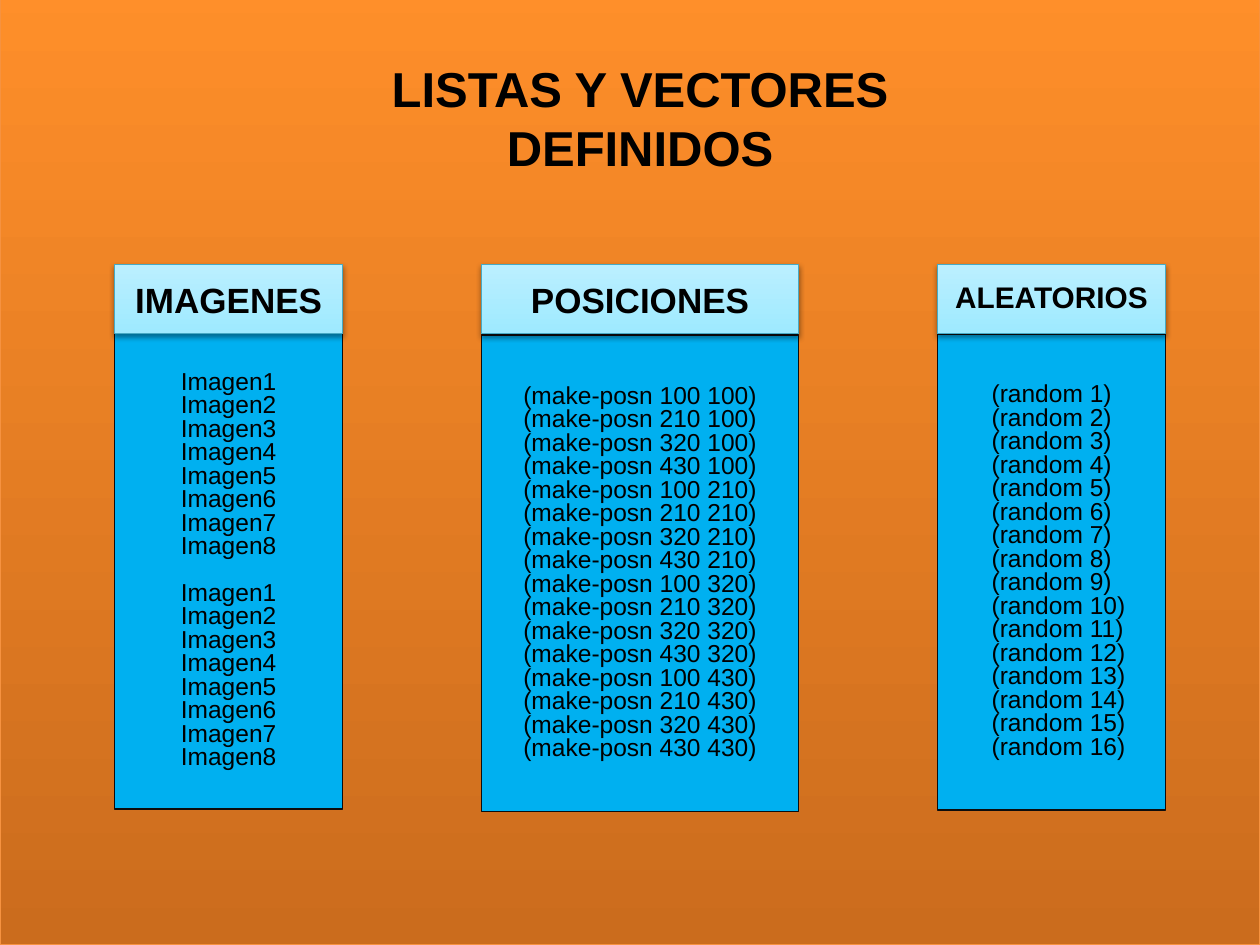
from lxml.etree import SubElement as Sub
from pptx import Presentation
from pptx.dml.color import RGBColor
from pptx.enum.shapes import MSO_SHAPE as Shape
from pptx.enum.text import MSO_ANCHOR as Anchor, PP_ALIGN as Align
from pptx.oxml.ns import qn
from pptx.util import Inches, Pt


def color(code):
    return RGBColor.from_string(code)


def add_box(slide, place, edge):
    box = slide.shapes.add_shape(Shape.RECTANGLE, *map(Inches, place))
    box.shadow.inherit = False
    box.line.color.rgb = color(edge)
    box.line.width = Pt(0.74)
    return box


def shade(box, low, high):
    box.fill.gradient()
    box.fill.gradient_angle = 90
    for stop, code in zip(box.fill.gradient_stops, (low, high)):
        stop.color.rgb = color(code)


def cast(box, drop, alpha):
    effect = box._element.spPr.find(qn("a:effectLst"))
    shadow = Sub(effect, qn("a:outerShdw"), blurRad=str(Pt(3)),
                 dist=str(Pt(drop)), dir="5400000", rotWithShape="0")
    tint = Sub(shadow, qn("a:srgbClr"), val="000000")
    Sub(tint, qn("a:alpha"), val=str(alpha * 1000))


def write(shape, text, size, bold=False, space=1.0, align=Align.CENTER):
    frame = shape.text_frame
    frame.word_wrap = True
    frame.vertical_anchor = Anchor.MIDDLE
    frame.text = text
    for para in frame.paragraphs:
        para.alignment = align
        para.line_spacing = space
        for run in para.runs:
            run.font.name = "Arial"
            run.font.size = Pt(size)
            run.font.bold = bold
            run.font.color.rgb = color("000000")


def add_list(slide, left, top, width, rows, align=Align.CENTER):
    box = add_box(slide, (left, top, width, 3.78), "0D0D0D")
    box.fill.solid()
    box.fill.fore_color.rgb = color("00B0F0")
    write(box, "\n".join(rows), 14, space=0.8, align=align)
    return box.text_frame


def add_head(slide, left, width, text, size=20, space=1.0):
    box = add_box(slide, (left, 2.1, width, 0.55), "46AAC5")
    shade(box, "9EEAFF", "BBEFFF")
    cast(box, 1.6, 38)
    write(box, text, size, True, space)


def main():
    deck = Presentation()
    deck.slide_width, deck.slide_height = Inches(10), Inches(7.5)
    slide = deck.slides.add_slide(deck.slide_layouts[6])

    back = add_box(slide, (0, -0.19, 10, 7.69), "F69240")
    shade(back, "CB6C1D", "FF8F2A")
    cast(back, 1.8, 35)

    names = [f"Imagen{n}" for n in range(1, 9)]
    frame = add_list(slide, 0.91, 2.64, 1.81, names * 2)
    frame.paragraphs[len(names)].space_before = Pt(13)
    add_head(slide, 0.91, 1.81, "IMAGENES")

    steps = range(100, 431, 110)
    spots = [f"(make-posn {x} {y})" for y in steps for x in steps]
    add_list(slide, 3.82, 2.66, 2.52, spots)
    add_head(slide, 3.82, 2.52, "POSICIONES")

    draws = [f"(random {n})" for n in range(1, 17)]
    frame = add_list(slide, 7.44, 2.65, 1.81, draws, Align.LEFT)
    frame.margin_left = Inches(0.43)
    add_head(slide, 7.44, 1.81, "ALEATORIOS", 17, 0.9)

    title = slide.shapes.add_textbox(*map(Inches, (0.83, 0.13, 8.5, 1.61)))
    write(title, "LISTAS Y VECTORES\vDEFINIDOS", 28, True)
    deck.save("out.pptx")


main()
